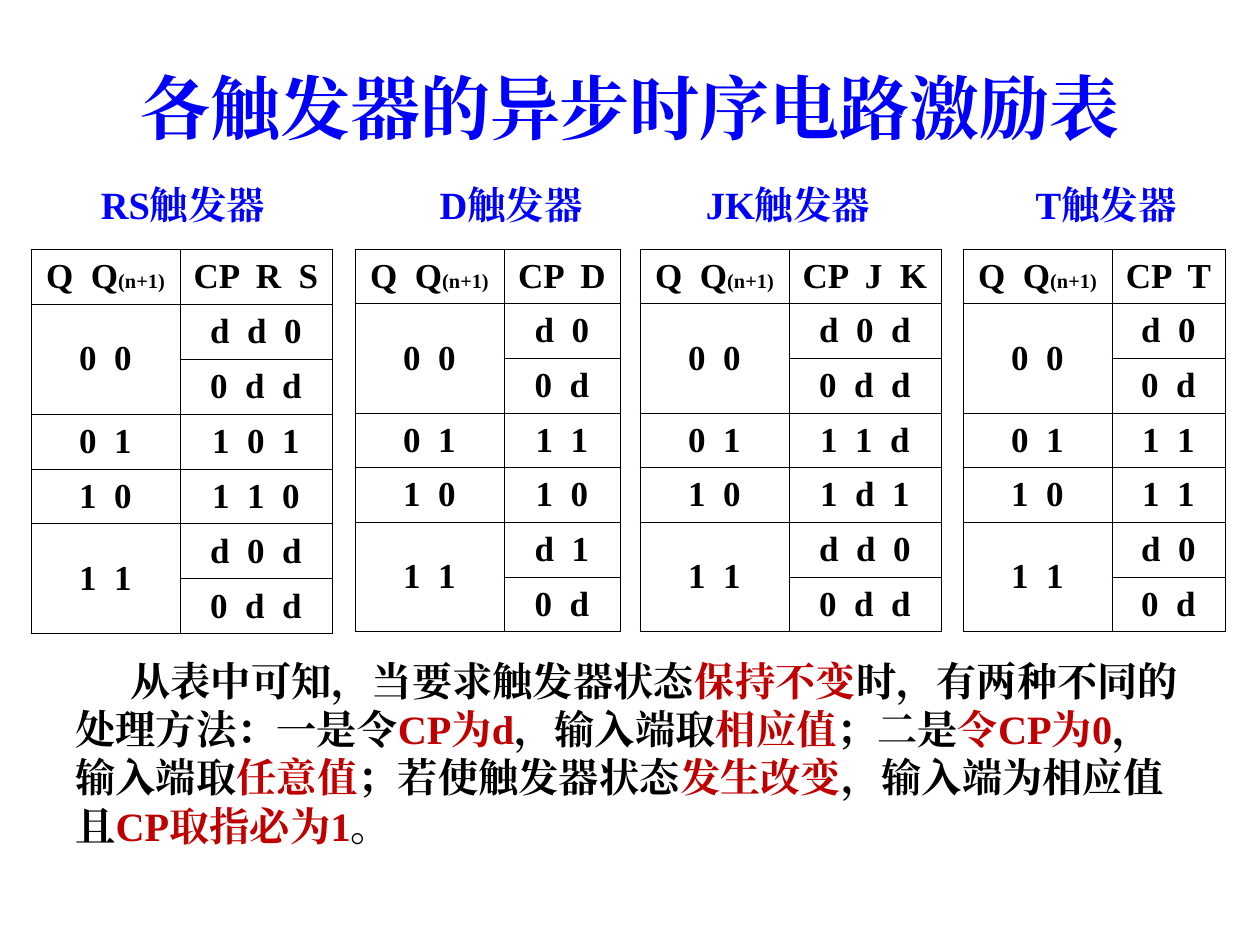
"""Build the slide of excitation tables for asynchronous flip-flop circuits."""
from lxml import etree
from pptx import Presentation
from pptx.dml.color import RGBColor
from pptx.enum.text import MSO_ANCHOR, PP_ALIGN
from pptx.oxml.ns import qn
from pptx.util import Pt

CENTER, LEFT = PP_ALIGN.CENTER, PP_ALIGN.LEFT
TOP, MIDDLE = MSO_ANCHOR.TOP, MSO_ANCHOR.MIDDLE
SCALE = 914400 / 126
THEME = {
    "font": "Times New Roman",
    "blue": "0000FF", "black": "000000", "red": "C00000",
    "title": 40, "head": 22, "cell": 20, "note": 23, "line": 0.45,
}


def px(num):
    return round(num * SCALE)


def write(frame, parts, size, align=CENTER, anchor=TOP):
    frame.word_wrap = True
    frame.vertical_anchor = anchor
    para = frame.paragraphs[0]
    para.alignment = align
    for text, color, base in parts:
        run = para.add_run()
        run.text = text
        form = {"name": THEME["font"], "size": Pt(THEME[size]), "bold": True}
        for key, val in form.items():
            setattr(run.font, key, val)
        run.font.color.rgb = RGBColor.from_string(THEME[color])
        props = run.font._element
        etree.SubElement(props, qn("a:ea"), typeface=THEME["font"])
        if base:
            props.set("baseline", str(base))
    return para


deck = Presentation()
deck.slide_width, deck.slide_height = px(1260), px(945)
slide = deck.slides.add_slide(deck.slide_layouts[6])
shapes = slide.shapes

title = shapes.add_textbox(px(63), px(58), px(1134), px(127))
write(title.text_frame, [("各触发器的异步时序电路激励表", "blue", 0)], "title")

STATES = [(1, 2, "0 0"), (3, 3, "0 1"), (4, 4, "1 0"), (5, 6, "1 1")]
TABLES = [
    ("RS", 74, 31, 152, 385,
     ["CP R S", "d d 0", "0 d d", "1 0 1", "1 1 0", "d 0 d", "0 d d"]),
    ("D", 402, 355, 116, 383,
     ["CP D", "d 0", "0 d", "1 1", "1 0", "d 1", "0 d"]),
    ("JK", 679, 640, 152, 383,
     ["CP J K", "d 0 d", "0 d d", "1 1 d", "1 d 1", "d d 0", "0 d d"]),
    ("T", 997, 963, 113, 383,
     ["CP T", "d 0", "0 d", "1 1", "1 1", "d 0", "0 d"]),
]
STATE_W = 149

for name, head_x, left, width, height, inputs in TABLES:
    head = shapes.add_textbox(px(head_x), px(175), px(218), px(59))
    write(head.text_frame, [(name + "触发器", "blue", 0)], "head")

    count = len(inputs)
    grid = shapes.add_table(count, 2, px(left), px(249),
                            px(STATE_W + width), px(height)).table
    grid.first_row = grid.horz_banding = False
    for col, wide in zip(grid.columns, (STATE_W, width)):
        col.width = px(wide)
    for row in grid.rows:
        row.height = px(height / count)

    for cell in grid.iter_cells():
        props = cell._tc.get_or_add_tcPr()
        for side in ("lnL", "lnR", "lnT", "lnB"):
            line = etree.SubElement(props, qn("a:" + side),
                                    w=str(Pt(THEME["line"])))
            fill = etree.SubElement(line, qn("a:solidFill"))
            etree.SubElement(fill, qn("a:srgbClr"), val=THEME["black"])
        cell.fill.background()
        cell.vertical_anchor = MIDDLE

    write(grid.cell(0, 0).text_frame,
          [("Q  Q", "black", 0), ("(n+1)", "black", 30)], "cell", anchor=MIDDLE)
    texts = [(first, 0, text) for first, last, text in STATES]
    texts += [(row, 1, text) for row, text in enumerate(inputs)]
    for row, col, text in texts:
        write(grid.cell(row, col).text_frame,
              [(text.replace(" ", "  "), "black", 0)], "cell", anchor=MIDDLE)
    for first, last, text in STATES:
        if last > first:
            grid.cell(first, 0).merge(grid.cell(last, 0))

NOTE = [
    "从表中可知，当要求触发器状态", "保持不变",
    "时，有两种不同的处理方法：一是令", "CP为d",
    "，输入端取", "相应值", "；二是", "令CP为0",
    "，输入端取", "任意值", "；若使触发器状态", "发生改变",
    "，输入端为相应值且", "CP取指必为1", "。",
]
note = shapes.add_textbox(px(63), px(649), px(1131), px(207))
parts = [(text, "red" if num % 2 else "black", 0)
         for num, text in enumerate(NOTE)]
para = write(note.text_frame, parts, "note", LEFT, MIDDLE)
para._p.get_or_add_pPr().set("indent", str(px(55)))

deck.save("out.pptx")
